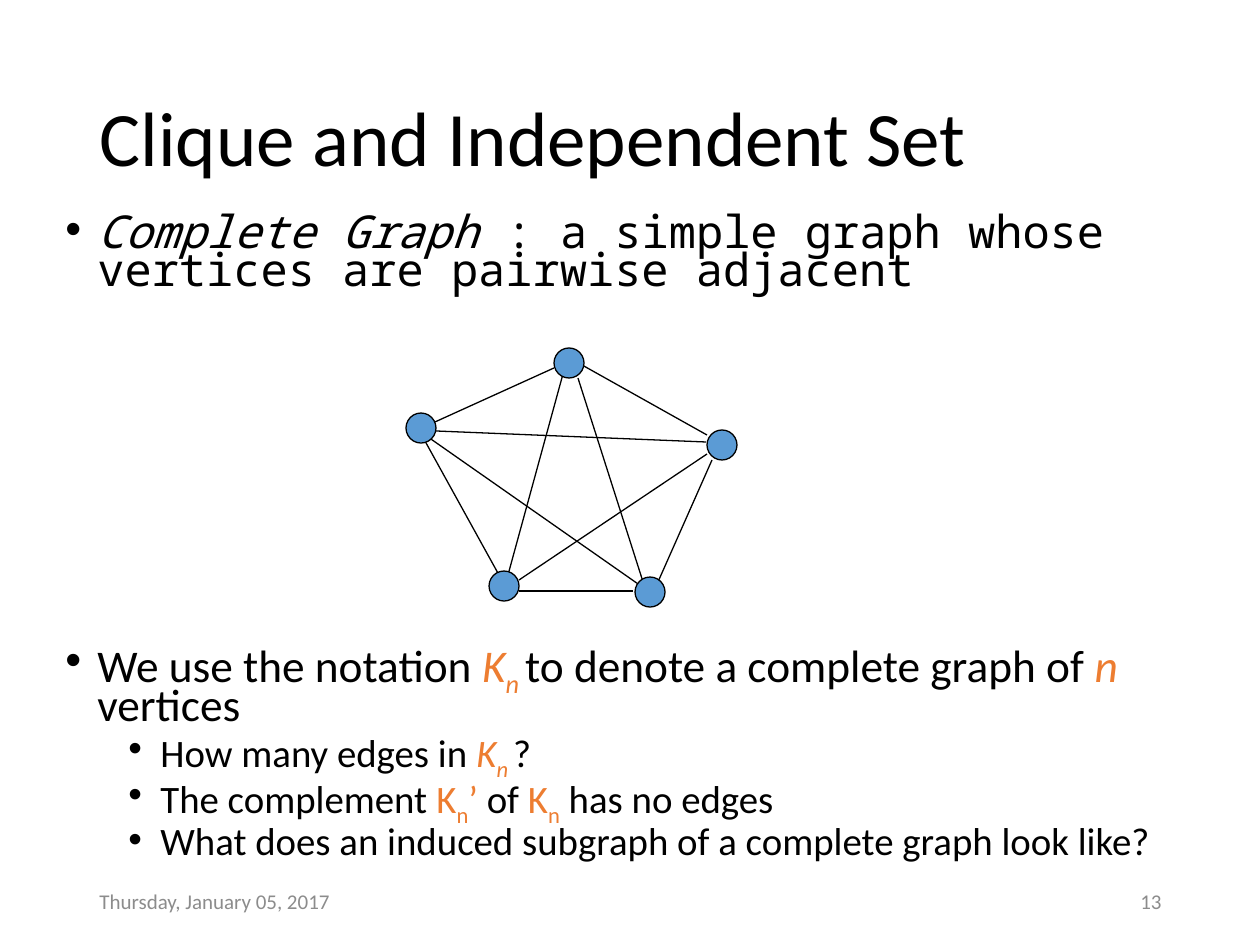
from lxml.etree import SubElement
from pptx import Presentation
from pptx.dml.color import RGBColor
from pptx.enum.shapes import MSO_CONNECTOR as Connector, MSO_SHAPE as Shape
from pptx.enum.text import MSO_ANCHOR as Anchor, MSO_AUTO_SIZE as AutoSize, PP_ALIGN as Align
from pptx.oxml.ns import qn
from pptx.util import Pt

SCALE = 914400 / 126
COLORS = {"text": "000000", "accent": "ED7D31", "node": "5B9BD5", "footer": "8C8C8C"}
SANS, MONO = "Calibri", "Noto Sans Mono"
NODE_SIZE = 30
NODES = [(707, 430), (554, 348), (489, 571), (635, 577), (406, 413)]
EDGES = [
    (428, 437, 651, 593), (554, 368, 435, 422), (582, 365, 707, 435),
    (425, 441, 499, 575), (519, 591, 633, 591), (712, 460, 654, 591),
    (563, 374, 508, 575), (436, 431, 706, 442), (578, 378, 645, 588),
    (519, 580, 707, 454),
]
ACCENT = {"color": "accent"}
ACCENT_ITALIC = {"color": "accent", "italic": True}
SUB = {"color": "accent", "subscript": True}
SUB_ITALIC = {**SUB, "italic": True}


def px(*lengths):
    return [round(length * SCALE) for length in lengths]


def rgb(name):
    return RGBColor.from_string(COLORS[name])


def add_text(paragraph, text, size, font=SANS, color="text", italic=False, subscript=False):
    run = paragraph.add_run()
    run.text = text
    run.font.name = font
    run.font.size = Pt(size)
    run.font.italic = italic
    run.font.color.rgb = rgb(color)
    if subscript:
        run._r.get_or_add_rPr().set("baseline", "-25000")


def format_frame(shape, box, anchor):
    shape.left, shape.top, shape.width, shape.height = px(*box)
    frame = shape.text_frame
    frame.word_wrap = True
    frame.auto_size = AutoSize.NONE
    frame.vertical_anchor = anchor
    return frame


def add_frame(slide, box, anchor=Anchor.TOP):
    return format_frame(slide.shapes.add_textbox(*px(*box)), box, anchor)


def add_bullet(paragraph, parts, size, level=0, before=10):
    paragraph.level = level
    paragraph.line_spacing = 0.7
    paragraph.space_before = Pt(before)
    properties = paragraph._p.get_or_add_pPr()
    margin, indent = px(32 + 63 * level, -32)
    properties.set("marL", str(margin))
    properties.set("indent", str(indent))
    SubElement(properties, qn("a:buFont")).set("typeface", "Arial")
    SubElement(properties, qn("a:buChar")).set("char", "•")
    for text, style in parts:
        add_text(paragraph, text, size, **style)


def add_title(slide, text):
    frame = format_frame(slide.shapes.title, (87, 50, 1086, 183), Anchor.MIDDLE)
    paragraph = frame.paragraphs[0]
    paragraph.alignment = Align.LEFT
    paragraph.line_spacing = 0.9
    add_text(paragraph, text, 44)


def add_body(slide):
    frame = add_frame(slide, (53, 212, 1179, 694))
    add_bullet(frame.paragraphs[0], [
        ("Complete Graph ", {"font": MONO, "italic": True}),
        (": a simple graph whose vertices are pairwise adjacent", {"font": MONO}),
    ], 25.9)
    add_bullet(frame.add_paragraph(), [
        ("We use the notation ", {}), ("K", ACCENT_ITALIC), ("n ", SUB_ITALIC),
        ("to denote a complete graph of ", {}), ("n ", ACCENT_ITALIC), ("vertices", {}),
    ], 25.9, before=202)
    questions = [
        [("How many edges in ", {}), ("K", ACCENT_ITALIC), ("n ", SUB_ITALIC), ("?", {})],
        [("The complement ", {}), ("K", ACCENT), ("n", SUB), ("’ ", ACCENT), ("of ", {}),
         ("K", ACCENT), ("n", SUB), (" has no edges", {})],
        [("What does an induced subgraph of a complete graph look like?", {})],
    ]
    for parts in questions:
        add_bullet(frame.add_paragraph(), parts, 22.2, level=1, before=5)


def format_line(shape):
    shape.line.color.rgb = rgb("text")
    shape.line.width = Pt(0.75)


def add_edge(group, ends):
    edge = group.shapes.add_connector(Connector.STRAIGHT, *px(*ends))
    format_line(edge)
    SubElement(edge._element.spPr, qn("a:effectLst"))


def add_node(group, left, top):
    node = group.shapes.add_shape(Shape.OVAL, *px(left, top, NODE_SIZE, NODE_SIZE))
    node.shadow.inherit = False
    node.fill.solid()
    node.fill.fore_color.rgb = rgb("node")
    format_line(node)


def add_graph(slide):
    group = slide.shapes.add_group_shape()
    for ends in EDGES:
        add_edge(group, ends)
    for left, top in NODES:
        add_node(group, left, top)


def add_footer(slide, text, left, alignment):
    paragraph = add_frame(slide, (left, 876, 284, 50), Anchor.MIDDLE).paragraphs[0]
    paragraph.alignment = alignment
    add_text(paragraph, text, 12, color="footer")


def main():
    presentation = Presentation()
    presentation.slide_width, presentation.slide_height = px(1260, 945)
    slide = presentation.slides.add_slide(presentation.slide_layouts[5])
    add_title(slide, "Clique and Independent Set")
    add_body(slide)
    add_graph(slide)
    add_footer(slide, "13", 890, Align.RIGHT)
    add_footer(slide, "Thursday, January 05, 2017", 87, Align.LEFT)
    presentation.save("out.pptx")


main()
